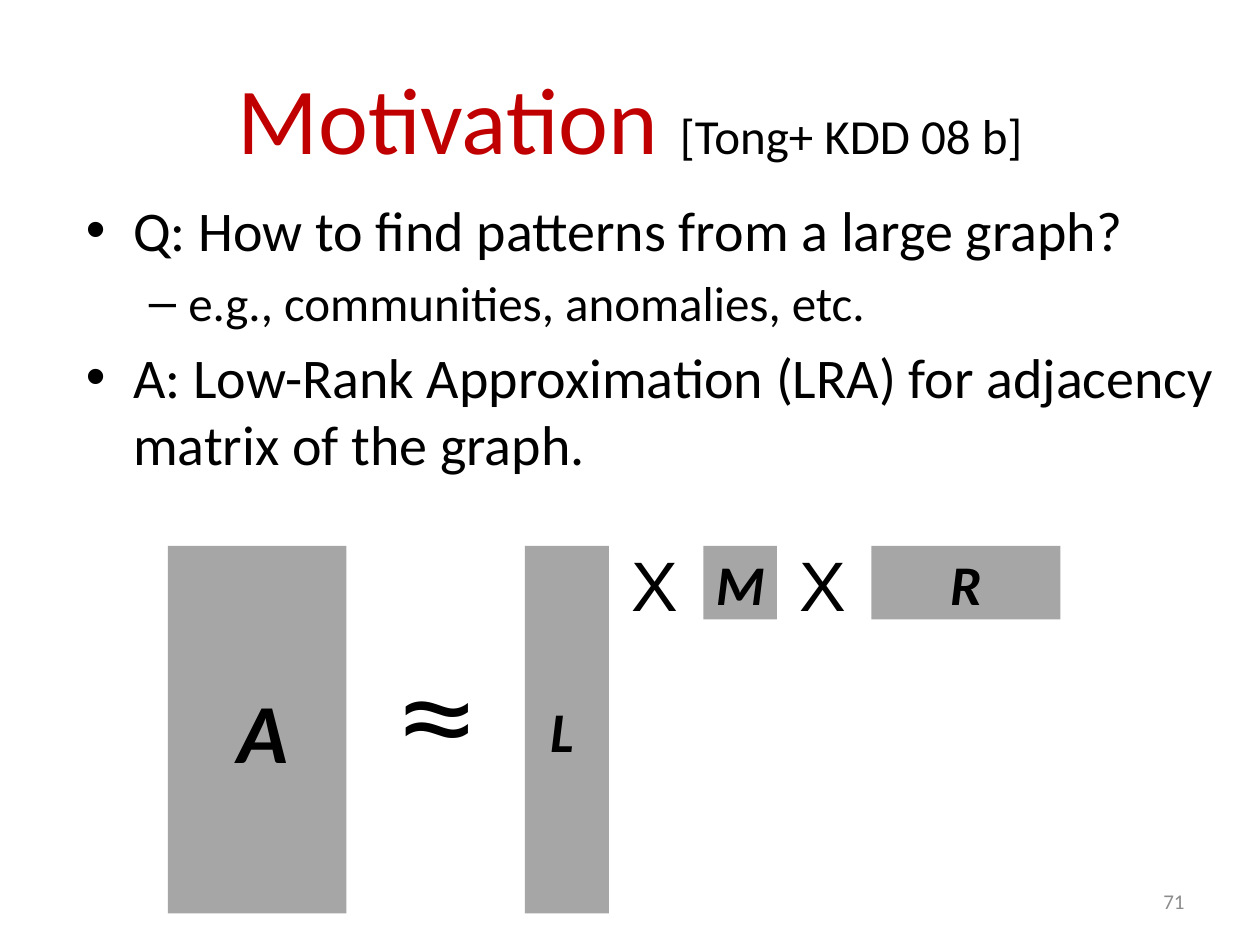
"""Build the slide that motivates low-rank approximation of a graph."""
from lxml import etree
from pptx import Presentation
from pptx.dml.color import RGBColor
from pptx.enum.shapes import MSO_SHAPE
from pptx.enum.text import MSO_ANCHOR, MSO_AUTO_SIZE, PP_ALIGN
from pptx.oxml.ns import qn
from pptx.util import Pt

RECTANGLE = MSO_SHAPE.RECTANGLE
TOP, MIDDLE = MSO_ANCHOR.TOP, MSO_ANCHOR.MIDDLE
LEFT, CENTER, RIGHT = PP_ALIGN.LEFT, PP_ALIGN.CENTER, PP_ALIGN.RIGHT
NO_AUTOFIT = MSO_AUTO_SIZE.NONE

COLORS = {"title": "C00000", "text": "000000", "matrix": "A6A6A6", "number": "8C8C8C"}

TITLE = [("Motivation ", 54, "title"), ("[Tong+ KDD 08 b]", 28, "text")]
BODY = [
    (0, "Q: How to find patterns from a large graph?"),
    (1, "e.g., communities, anomalies, etc."),
    (0, "A: Low-Rank Approximation (LRA) for adjacency matrix of the graph."),
]
# level: bullet, size, left indent, hanging indent
LEVELS = {0: ("•", 32, 27, 27), 1: ("–", 28, 58.5, 22.5)}

MATRIX_TOP = 312
# name, left, width, height, size, left inset, alignment
MATRICES = [
    ("A", 96, 102, 210, 48, 39.7, LEFT),
    ("L", 300, 48, 210, 32, 14.4, LEFT),
    ("M", 402, 42, 42, 32, 7.2, LEFT),
    ("R", 498, 108, 42, 32, 7.2, CENTER),
]
TIMES_LEFTS = [354, 450]
TILDE_TOPS = [366, 354]


def color(name):
    return RGBColor.from_string(COLORS[name])


def style(font, size, name="text", face="Calibri"):
    font.size, font.name = Pt(size), face
    font.color.rgb = color(name)


def place(shape, *box):
    shape.left, shape.top, shape.width, shape.height = map(Pt, box)


def add_label(shapes, text, box, size, face="Arial", name="text", align=LEFT, anchor=TOP):
    label = shapes.add_textbox(*map(Pt, box))
    frame = label.text_frame
    frame.word_wrap, frame.vertical_anchor = True, anchor
    para = frame.paragraphs[0]
    para.text, para.alignment = text, align
    style(para.font, size, name, face)


def add_title(page):
    title = page.shapes.title
    place(title, 36, 21.6, 648, 90)
    frame = title.text_frame
    frame.auto_size, frame.vertical_anchor = NO_AUTOFIT, MIDDLE
    para = frame.paragraphs[0]
    para.alignment = CENTER
    for text, size, name in TITLE:
        span = para.add_run()
        span.text = text
        style(span.font, size, name)


def add_body(page):
    frame = page.shapes.add_textbox(*map(Pt, (42, 108, 696, 354))).text_frame
    frame.word_wrap = True
    for index, (level, text) in enumerate(BODY):
        para = frame.add_paragraph() if index else frame.paragraphs[0]
        bullet, size, indent, hanging = LEVELS[level]
        para.text, para.level = text, level
        para.space_before = Pt(size * 0.2 if index else 0)
        properties = para._p.get_or_add_pPr()
        properties.set("marL", str(Pt(indent)))
        properties.set("indent", str(-Pt(hanging)))
        etree.SubElement(properties, qn("a:buFont")).set("typeface", "Arial")
        etree.SubElement(properties, qn("a:buChar")).set("char", bullet)
        style(para.font, size)


def add_matrix(page, name, left, width, height, size, inset, align):
    matrix = page.shapes.add_shape(RECTANGLE, *map(Pt, (left, MATRIX_TOP, width, height)))
    matrix.shadow.inherit = False
    matrix.fill.solid()
    matrix.fill.fore_color.rgb = color("matrix")
    matrix.line.fill.background()
    frame = matrix.text_frame
    frame.margin_left, frame.vertical_anchor = Pt(inset), MIDDLE
    para = frame.paragraphs[0]
    para.text, para.alignment = name, align
    para.font.bold = para.font.italic = True
    style(para.font, size)


def main():
    deck = Presentation()
    deck.slide_width, deck.slide_height = Pt(720), Pt(540)
    page = deck.slides.add_slide(deck.slide_layouts.get_by_name("Title Only"))
    add_title(page)
    add_body(page)
    for matrix in MATRICES:
        add_matrix(page, *matrix)
    for left in TIMES_LEFTS:
        add_label(page.shapes, "X", (left, 306, 60, 55.5), 40)
    approximately = page.shapes.add_group_shape()
    for top in TILDE_TOPS:
        add_label(approximately.shapes, "~", (222, top, 60, 138), 72)
    add_label(page.shapes, "71", (516, 500.5, 168, 28.75), 12, "Calibri", "number", RIGHT, MIDDLE)
    deck.save("out.pptx")


if __name__ == "__main__":
    main()
